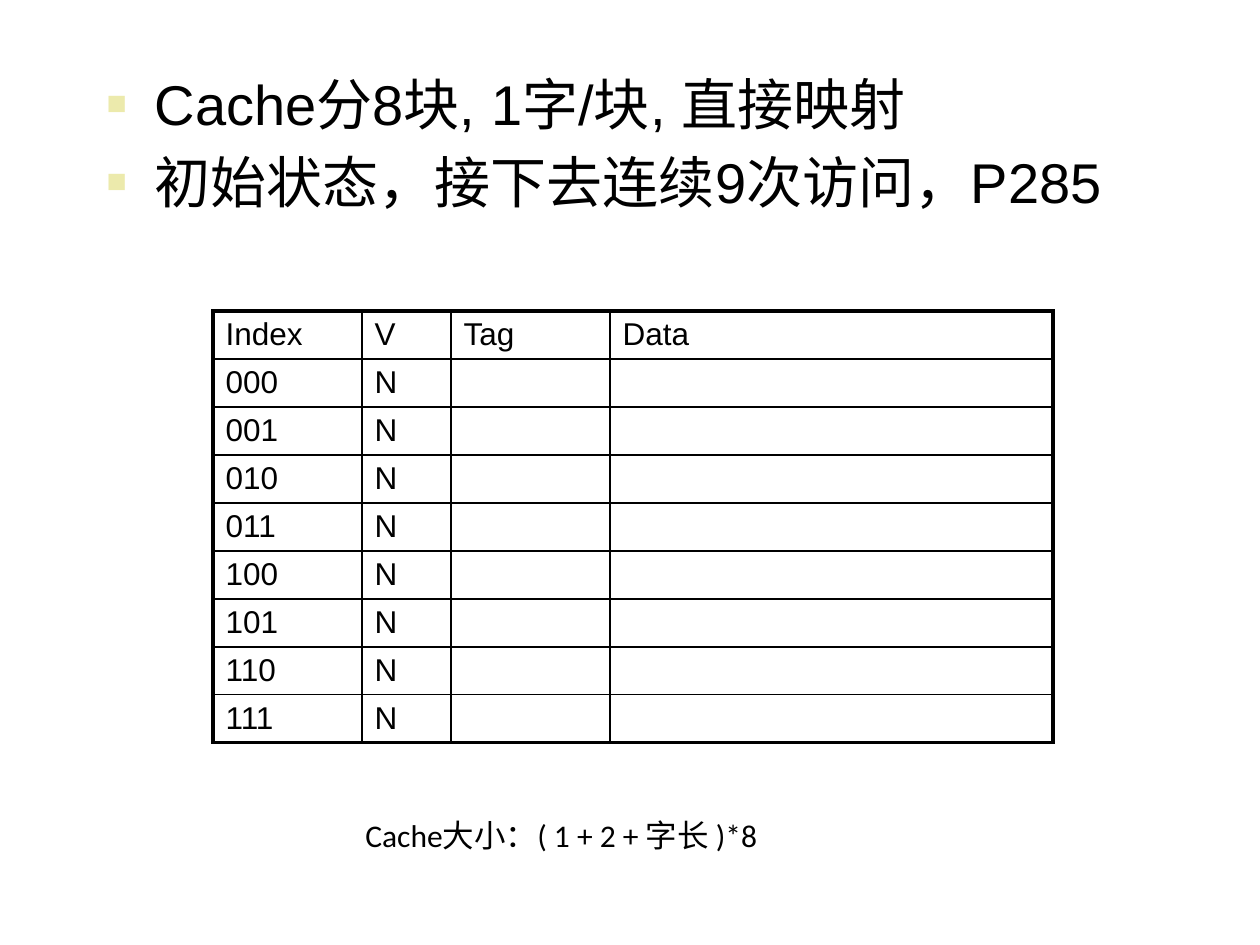
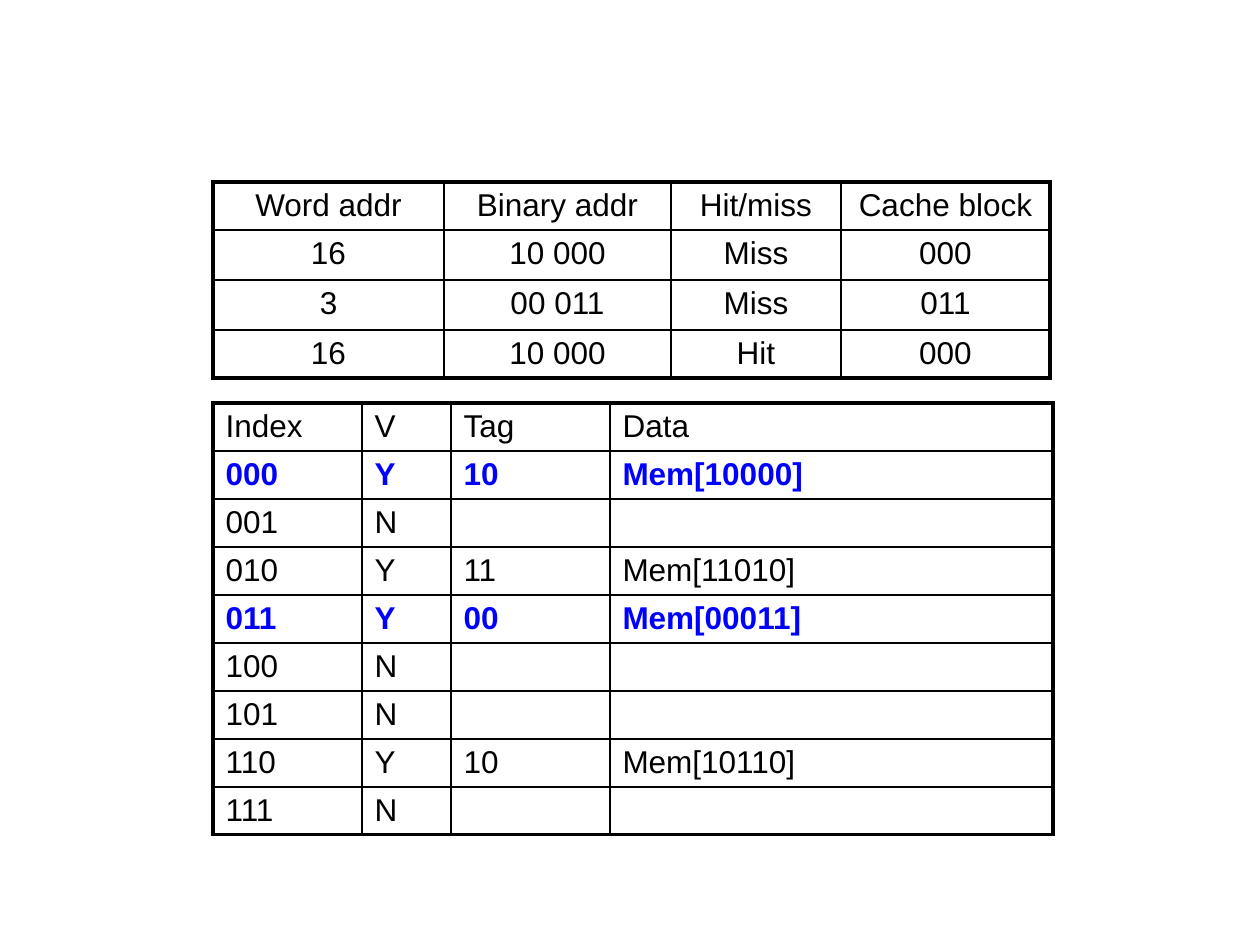
from lxml import etree
from pptx import Presentation
from pptx.dml.color import RGBColor
from pptx.enum.text import MSO_ANCHOR, MSO_AUTO_SIZE, PP_ALIGN
from pptx.oxml.ns import qn
from pptx.util import Pt

EMU_PER_PX = 914400 / 126
BLACK = RGBColor(0x00, 0x00, 0x00)
BLUE = RGBColor(0x00, 0x00, 0xFF)
BULLET_COLOR = RGBColor(0xEC, 0xEA, 0xAC)
LEFT, CENTER = PP_ALIGN.LEFT, PP_ALIGN.CENTER
TOP = MSO_ANCHOR.TOP
NO_AUTOFIT = MSO_AUTO_SIZE.NONE
BULLETS_LAYOUT, BLANK_LAYOUT = 1, 6

TABLE_LEFT = 213
ROW_HEIGHT = 48
OUTER, HEADER, INNER = 2.25, 1.5, 1
CACHE_HEADINGS = ["Index", "V", "Tag", "Data"]
CACHE_COLUMNS = [149, 89, 159, 443]
CACHE_BLOCKS = 8
ACCESS_ROWS = [
    ["Word addr", "Binary addr", "Hit/miss", "Cache block"],
    ["16", "10 000", "Miss", "000"],
    ["3", "00 011", "Miss", "011"],
    ["16", "10 000", "Hit", "000"],
]
ACCESS_COLUMNS = [231, 227, 170, 209]
ACCESS_HEIGHTS = [48, 50, 50, 48]


def px(length):
    """Turn whole pixels into EMU."""
    return round(length * EMU_PER_PX)


def write_text(paragraph, text, font="Arial", size=18, color=BLACK, bold=False, align=LEFT):
    """Write one formatted run into a paragraph."""
    paragraph.alignment = align
    run = paragraph.add_run()
    run.text = text
    run.font.name = font
    run.font.size = Pt(size)
    run.font.color.rgb = color
    run.font.bold = bold


def place(shape, left, top, width, height):
    """Move a shape and give it its size."""
    shape.left, shape.top = px(left), px(top)
    shape.width, shape.height = px(width), px(height)


def add_bullet(paragraph, hanging):
    """Give a paragraph a square bullet with a hanging indent."""
    props = paragraph._p.get_or_add_pPr()
    props.set("marL", str(px(hanging)))
    props.set("indent", str(-px(hanging)))
    color = etree.SubElement(props, qn("a:buClr"))
    etree.SubElement(color, qn("a:srgbClr"), val=str(BULLET_COLOR))
    etree.SubElement(props, qn("a:buSzPct"), val="60000")
    etree.SubElement(props, qn("a:buFont"), typeface="Arial")
    etree.SubElement(props, qn("a:buChar"), char="■")


def fill_bullets(body, lines):
    """Write a bulleted list into the body placeholder."""
    frame = body.text_frame
    frame.auto_size = NO_AUTOFIT
    frame.vertical_anchor = TOP
    for number, line in enumerate(lines):
        paragraph = frame.add_paragraph() if number else frame.paragraphs[0]
        add_bullet(paragraph, 48)
        paragraph.space_before = Pt(6.4 if number else 0)
        write_text(paragraph, line, size=32)


def add_caption(slide, text, left, top, width, height):
    """Add a one-line caption."""
    caption = slide.shapes.add_textbox(px(left), px(top), px(width), px(height))
    caption.text_frame.word_wrap = True
    write_text(caption.text_frame.paragraphs[0], text, font="Calibri")


def set_borders(cell, **widths):
    """Draw black cell borders, with widths in points by side."""
    props = cell._tc.get_or_add_tcPr()
    for side in "LRTB":
        line = etree.SubElement(props, qn(f"a:ln{side}"), w=str(Pt(widths[side])))
        fill = etree.SubElement(line, qn("a:solidFill"))
        etree.SubElement(fill, qn("a:srgbClr"), val=str(BLACK))


def add_grid(slide, rows, top, columns, heights, rule=INNER, align=LEFT, highlighted=()):
    """Add a table with a heavy frame and a ruled heading."""
    frame = slide.shapes.add_table(len(rows), len(columns), px(TABLE_LEFT), px(top),
                                   px(sum(columns)), px(sum(heights)))
    table = frame.table
    table.first_row = table.horz_banding = False
    for column, width in zip(table.columns, columns):
        column.width = px(width)
    row_rules = [OUTER, HEADER] + [rule] * (len(rows) - 2) + [OUTER]
    column_rules = [OUTER] + [INNER] * (len(columns) - 1) + [OUTER]
    for r, values in enumerate(rows):
        table.rows[r].height = px(heights[r])
        marked = values[0] in highlighted
        for c, value in enumerate(values):
            cell = table.cell(r, c)
            set_borders(cell, L=column_rules[c], R=column_rules[c + 1],
                        T=row_rules[r], B=row_rules[r + 1])
            cell.fill.background()
            cell.margin_top, cell.margin_bottom = px(6), px(3)
            if value:
                write_text(cell.text_frame.paragraphs[0], value, align=align,
                           color=BLUE if marked else BLACK, bold=marked)


def add_cache(slide, top, tags, highlighted=()):
    """Add the cache state, given the tag held at each valid index."""
    rows = [CACHE_HEADINGS]
    for block in range(CACHE_BLOCKS):
        index = f"{block:03b}"
        tag = tags.get(index)
        rows.append([index, "Y", tag, f"Mem[{tag}{index}]"] if tag else [index, "N", "", ""])
    add_grid(slide, rows, top, CACHE_COLUMNS, [ROW_HEIGHT] * len(rows),
             highlighted=highlighted)


def build_initial_state(deck):
    """Build the slide with the empty cache."""
    slide = deck.slides.add_slide(deck.slide_layouts[BULLETS_LAYOUT])
    title = slide.shapes.title._element
    title.getparent().remove(title)
    body = slide.placeholders[1]
    place(body, 94, 63, 1140, 184)
    fill_bullets(body, ["Cache分8块, 1字/块, 直接映射",
                        "初始状态，接下去连续9次访问，P285"])
    add_cache(slide, 311, {})
    add_caption(slide, "Cache大小：( 1 + 2 + 字长 )*8", 353, 810, 674, 50)


def build_accesses(deck):
    """Build the slide with three accesses and the cache after them."""
    slide = deck.slides.add_slide(deck.slide_layouts[BLANK_LAYOUT])
    add_cache(slide, 403, {"000": "10", "010": "11", "011": "00", "110": "10"},
              highlighted=("000", "011"))
    add_grid(slide, ACCESS_ROWS, 182, ACCESS_COLUMNS, ACCESS_HEIGHTS,
             rule=HEADER, align=CENTER)


def main():
    """Build the deck and save it."""
    deck = Presentation()
    deck.slide_width, deck.slide_height = px(1260), px(945)
    build_initial_state(deck)
    build_accesses(deck)
    deck.save("out.pptx")


if __name__ == "__main__":
    main()
